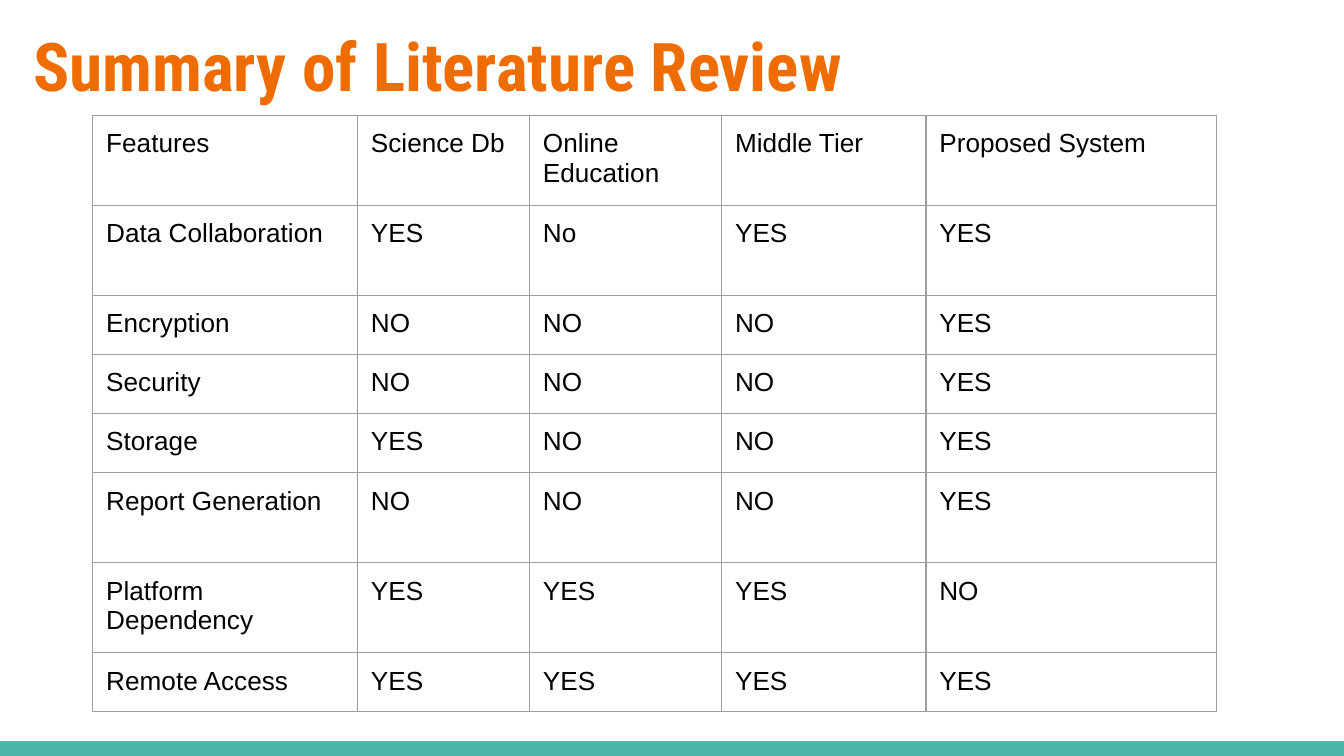
from dataclasses import dataclass

from lxml.etree import SubElement
from pptx import Presentation
from pptx.dml.color import RGBColor
from pptx.enum.shapes import MSO_SHAPE
from pptx.enum.text import MSO_ANCHOR
from pptx.oxml.ns import qn
from pptx.util import Inches, Pt

TITLE = "Summary of Literature Review"
FEATURES = [
    ("Features", "Science Db", "Online Education", "Middle Tier", "Proposed System"),
    ("Data Collaboration", "YES", "No", "YES", "YES"),
    ("Encryption", "NO", "NO", "NO", "YES"),
    ("Security", "NO", "NO", "NO", "YES"),
    ("Storage", "YES", "NO", "NO", "YES"),
    ("Report Generation", "NO", "NO", "NO", "YES"),
    ("Platform Dependency", "YES", "YES", "YES", "NO"),
    ("Remote Access", "YES", "YES", "YES", "YES"),
]
WIDTH = 10
HEIGHT = WIDTH * 9 / 16
FOOTER_HEIGHT = 0.11
TABLE_LEFT, TABLE_TOP, TABLE_FRAME = 0.69, 0.86, 3.28
COLUMN_WIDTHS = [1.97, 1.28, 1.43, 1.52, 2.16]
TALL, SHORT, LAST = 0.67, 0.44, 0.41
ROW_HEIGHTS = [TALL, TALL, SHORT, SHORT, SHORT, TALL, TALL, LAST]


@dataclass(frozen=True)
class Theme:
    background: str = "FFFFFF"
    footer: str = "4DB6AC"
    title: str = "EF6C00"
    body: str = "000000"
    border: str = "9E9E9E"
    title_font: str = "Roboto Condensed"
    body_font: str = "Arial"
    title_size: float = 36
    body_size: float = 14
    border_width: float = 0.75
    inset: float = 0.1


THEME = Theme()


def write_text(frame, text, *, font, size, color, bold=False):
    span = frame.paragraphs[0].add_run()
    span.text = text
    span.font.name = font
    span.font.size = Pt(size)
    span.font.bold = bold
    span.font.color.rgb = RGBColor.from_string(color)


def set_insets(target):
    target.margin_left = target.margin_right = Inches(THEME.inset)
    target.margin_top = target.margin_bottom = Inches(THEME.inset)


def set_borders(cell):
    properties = cell._tc.get_or_add_tcPr()
    for side in ("a:lnL", "a:lnR", "a:lnT", "a:lnB"):
        line = SubElement(properties, qn(side), w=str(Pt(THEME.border_width)))
        fill = SubElement(line, qn("a:solidFill"))
        SubElement(fill, qn("a:srgbClr"), val=THEME.border)


def add_footer(page):
    bar = page.shapes.add_shape(
        MSO_SHAPE.RECTANGLE, 0, Inches(HEIGHT - FOOTER_HEIGHT),
        Inches(WIDTH), Inches(FOOTER_HEIGHT))
    bar.shadow.inherit = False
    bar.fill.solid()
    bar.fill.fore_color.rgb = RGBColor.from_string(THEME.footer)
    bar.line.fill.background()


def add_title(page):
    box = page.shapes.add_textbox(
        Inches(0.15), Inches(0.08), Inches(9.32), Inches(0.77))
    frame = box.text_frame
    frame.word_wrap = True
    frame.vertical_anchor = MSO_ANCHOR.TOP
    set_insets(frame)
    write_text(frame, TITLE, font=THEME.title_font, size=THEME.title_size,
               color=THEME.title, bold=True)


def add_feature_table(page):
    holder = page.shapes.add_table(
        len(FEATURES), len(COLUMN_WIDTHS), Inches(TABLE_LEFT), Inches(TABLE_TOP),
        Inches(TABLE_FRAME), Inches(TABLE_FRAME))
    table = holder.table
    table.first_row = table.horz_banding = False
    for column, width in zip(table.columns, COLUMN_WIDTHS):
        column.width = Inches(width)
    for row, height, texts in zip(table.rows, ROW_HEIGHTS, FEATURES):
        row.height = Inches(height)
        for cell, text in zip(row.cells, texts):
            set_insets(cell)
            set_borders(cell)
            cell.fill.background()
            write_text(cell.text_frame, text, font=THEME.body_font,
                       size=THEME.body_size, color=THEME.body)
    holder.width = holder.height = Inches(TABLE_FRAME)


def main():
    deck = Presentation()
    deck.slide_width, deck.slide_height = Inches(WIDTH), Inches(HEIGHT)
    page = deck.slides.add_slide(deck.slide_layouts[6])
    page.background.fill.solid()
    page.background.fill.fore_color.rgb = RGBColor.from_string(THEME.background)
    add_footer(page)
    add_title(page)
    add_feature_table(page)
    deck.save("out.pptx")


if __name__ == "__main__":
    main()
